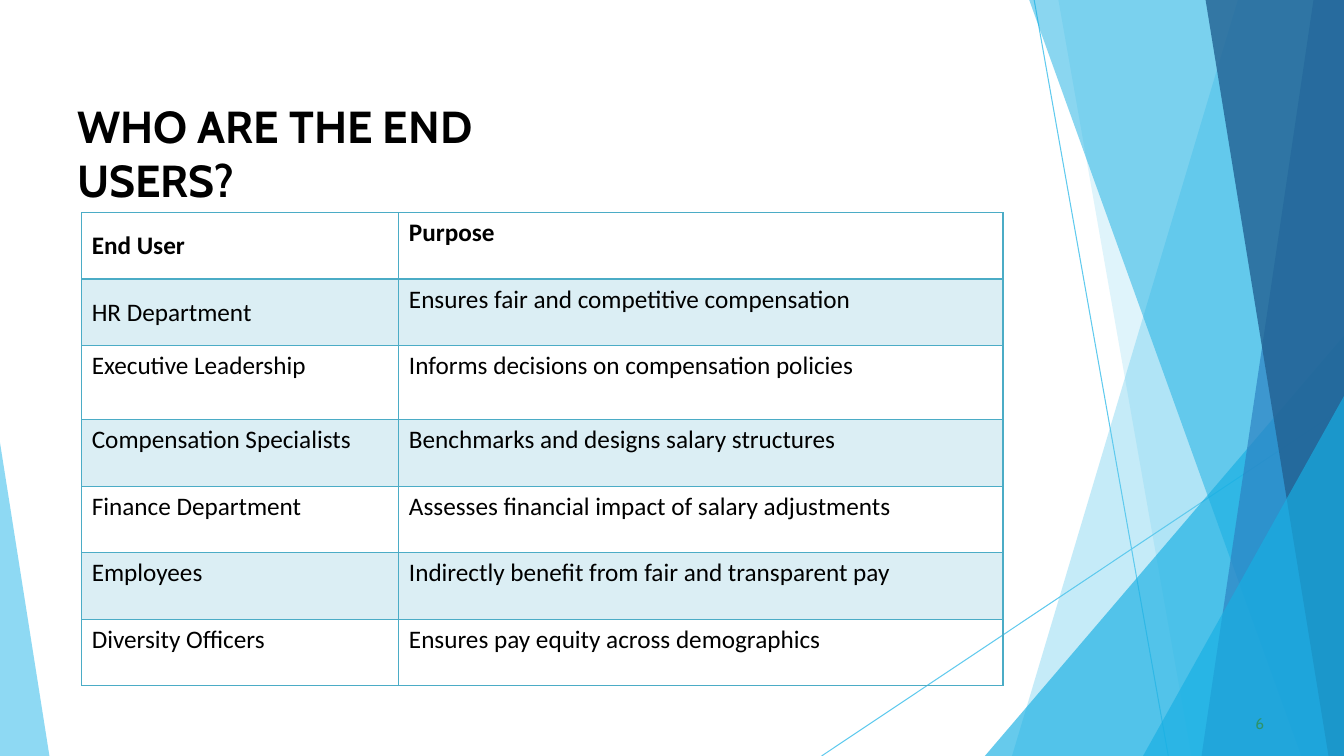
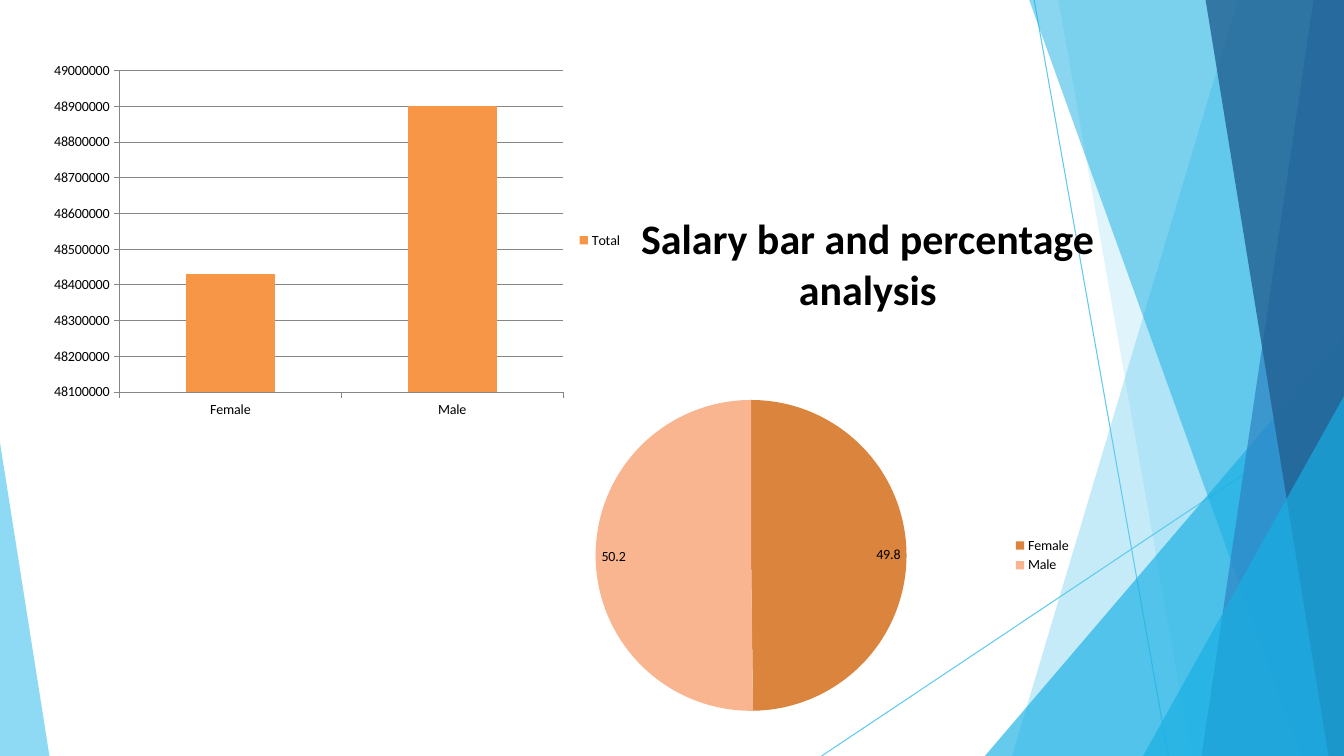
"""Build the end-user table slide and the salary chart slide over a shared faceted layout."""
from lxml import etree
from pptx import Presentation
from pptx.chart.data import CategoryChartData
from pptx.dml.color import RGBColor
from pptx.enum.chart import XL_CHART_TYPE, XL_LABEL_POSITION, XL_LEGEND_POSITION, XL_TICK_MARK
from pptx.enum.shapes import MSO_CONNECTOR
from pptx.enum.text import MSO_ANCHOR, MSO_AUTO_SIZE, PP_ALIGN
from pptx.oxml.ns import qn
from pptx.util import Inches, Pt

COLUMN, PIE = XL_CHART_TYPE.COLUMN_CLUSTERED, XL_CHART_TYPE.PIE
INSIDE_END = XL_LABEL_POSITION.INSIDE_END
LEGEND_RIGHT = XL_LEGEND_POSITION.RIGHT
TICK_OUT = XL_TICK_MARK.OUTSIDE
STRAIGHT = MSO_CONNECTOR.STRAIGHT
TOP, MIDDLE = MSO_ANCHOR.TOP, MSO_ANCHOR.MIDDLE
NO_FIT = MSO_AUTO_SIZE.NONE
LEFT, CENTER = PP_ALIGN.LEFT, PP_ALIGN.CENTER

COLORS = {
    "sky": "5FCAEE", "cyan": "17AFE3", "blue": "2D83C3", "navy": "226192",
    "black": "000000", "green": "2D936B", "border": "4BACC6", "stripe": "DBEEF4",
    "grid": "868686", "bar": "F79646", "female": "DB843D", "male": "F9B590",
}
RGB = {name: RGBColor.from_string(value) for name, value in COLORS.items()}

prs = Presentation()
prs.slide_width, prs.slide_height = Inches(13.33), Inches(7.5)


def box(*shares):
    """Turn alternating horizontal and vertical percentages into lengths."""
    sides = (prs.slide_width, prs.slide_height)
    return [int(sides[i % 2] * share / 100) for i, share in enumerate(shares)]


def style_font(font, size, color="black", name="Calibri", bold=False):
    """Set the face, size, colour and weight of a font."""
    font.name, font.size, font.bold = name, Pt(size), bold
    font.color.rgb = RGB[color]


layout = prs.slide_layouts[5]
for ph in list(layout.placeholders)[1:]:
    ph.element.getparent().remove(ph.element)
slides = [prs.slides.add_slide(layout) for _ in range(2)]

s = slides[0]
decor = []
for ends in [(76.95, 0, 86.93, 100), (100, 53.87, 61.13, 100)]:
    line = s.shapes.add_connector(STRAIGHT, *box(*ends))
    line.line.color.rgb, line.line.width = RGB["sky"], Pt(0.75)
    etree.SubElement(line.element.spPr, qn("a:effectLst"))
    decor.append(line)

facets = [
    (100, 0, 92.1, 75.3, "sky", 36),
    (100, 0, 78.75, 88.65, "sky", 20),
    (100, 44.4, 100, 73.28, "cyan", 66),
    (100, 0, 76.58, 96.83, "cyan", 50),
    (100, 0, 97.73, 89.4, "blue", 70),
    (100, 0, 89.7, 98.85, "navy", 80),
    (100, 52.4, 100, 85.05, "cyan", 66),
    (0, 58.53, 0, 3.68, "sky", 70),
]
for edge, top, top_x, bottom_x, color, opacity in facets:
    fb = s.shapes.build_freeform(*box(edge, top))
    fb.add_line_segments([box(top_x, top), box(bottom_x, 100), box(edge, 100)])
    facet = fb.convert_to_shape()
    facet.shadow.inherit = False
    facet.fill.solid()
    facet.fill.fore_color.rgb = RGB[color]
    facet.line.fill.background()
    clr = facet.element.spPr.find(qn("a:solidFill"))[0]
    etree.SubElement(clr, qn("a:alpha"), val=str(opacity * 1000))
    decor.append(facet)
for shape in decor:
    layout.shapes.element.append(shape.element)

titles = [
    ("WHO ARE THE END USERS?", (5.75, 13.07, 40.5, 7.6), 32, "Cabin", LEFT),
    ("Salary bar and percentage analysis", (45.9, 28.13, 37.35, 20.13), 30, "Calibri", CENTER),
]
for s, (text, place, size, face, align) in zip(slides, titles):
    title = s.shapes.title
    title.left, title.top, title.width, title.height = box(*place)
    tf = title.text_frame
    tf.text = text
    tf.word_wrap, tf.auto_size, tf.vertical_anchor = True, NO_FIT, TOP
    tf.margin_left = tf.margin_right = tf.margin_top = tf.margin_bottom = 0
    p = tf.paragraphs[0]
    p.alignment = align
    style_font(p.font, size, name=face, bold=True)

s = slides[0]
tf = s.shapes.add_textbox(*box(93.4, 94.4, 1.3, 2.8)).text_frame
tf.margin_left = tf.margin_right = tf.margin_top = tf.margin_bottom = 0
tf.word_wrap = True
p = tf.paragraphs[0]
p.text = "6"
style_font(p.font, 11, "green", "Cabin")

rows = [
    ("End User", "Purpose"),
    ("HR Department", "Ensures fair and competitive compensation"),
    ("Executive Leadership", "Informs decisions on compensation policies"),
    ("Compensation Specialists", "Benchmarks and designs salary structures"),
    ("Finance Department", "Assesses financial impact of salary adjustments"),
    ("Employees", "Indirectly benefit from fair and transparent pay"),
    ("Diversity Officers", "Ensures pay equity across demographics"),
]
table = s.shapes.add_table(len(rows), 2, *box(6.08, 28.13, 68.55, 62.53)).table
table.first_row = table.horz_banding = False
for col, share in zip(table.columns, (23.6, 44.95)):
    col.width = box(share)[0]
for i, row in enumerate(rows):
    table.rows[i].height = box(0, 9.8 if i == 2 else 8.8)[1]
    for j, text in enumerate(row):
        cell = table.cell(i, j)
        cell.text = text
        cell.vertical_anchor = MIDDLE if j == 0 and i < 2 else TOP
        style_font(cell.text_frame.paragraphs[0].font, 18, bold=i == 0)
        tcPr = cell._tc.get_or_add_tcPr()
        for side in "LRTB":
            thick = (i, side) in [(0, "B"), (1, "T")]
            ln = etree.SubElement(tcPr, qn(f"a:ln{side}"), w=str(Pt(2 if thick else 1)))
            fill = etree.SubElement(ln, qn("a:solidFill"))
            etree.SubElement(fill, qn("a:srgbClr"), val=COLORS["border"])
        if i % 2:
            cell.fill.solid()
            cell.fill.fore_color.rgb = RGB["stripe"]
        else:
            cell.fill.background()

s = slides[1]
charts = []
for kind, place, name, values, fmt in [
    (COLUMN, (3.15, 7.33, 43.95, 48.93), "Total", (48430000, 48900000), "0"),
    (PIE, (36.53, 51.07, 43.95, 44.8), "Series 1", (49.8, 50.2), "0.0"),
]:
    data = CategoryChartData(number_format=fmt)
    data.categories = ["Female", "Male"]
    data.add_series(name, values)
    chart = s.shapes.add_chart(kind, *box(*place), data).chart
    chart.has_title = False
    chart.has_legend = True
    chart.legend.position, chart.legend.include_in_layout = LEGEND_RIGHT, False
    style_font(chart.font, 10)
    charts.append(chart)

bar, pie = charts
plot = bar.plots[0]
plot.gap_width, plot.vary_by_categories = 150, False
plot.series[0].format.fill.solid()
plot.series[0].format.fill.fore_color.rgb = RGB["bar"]
axis = bar.value_axis
axis.minimum_scale, axis.maximum_scale, axis.major_unit = 48100000, 49000000, 100000
axis.has_major_gridlines = True
for line in (axis.major_gridlines.format.line, axis.format.line, bar.category_axis.format.line):
    line.color.rgb, line.width = RGB["grid"], Pt(0.75)
axis.major_tick_mark = bar.category_axis.major_tick_mark = TICK_OUT

plot = pie.plots[0]
plot.vary_by_categories = True
for i, color in enumerate(("female", "male")):
    fill = plot.series[0].points[i].format.fill
    fill.solid()
    fill.fore_color.rgb = RGB[color]
plot.has_data_labels = True
labels = plot.data_labels
labels.show_value, labels.show_percentage = True, False
labels.number_format, labels.number_format_is_linked = "0.0", False
labels.position = INSIDE_END

prs.save("out.pptx")
